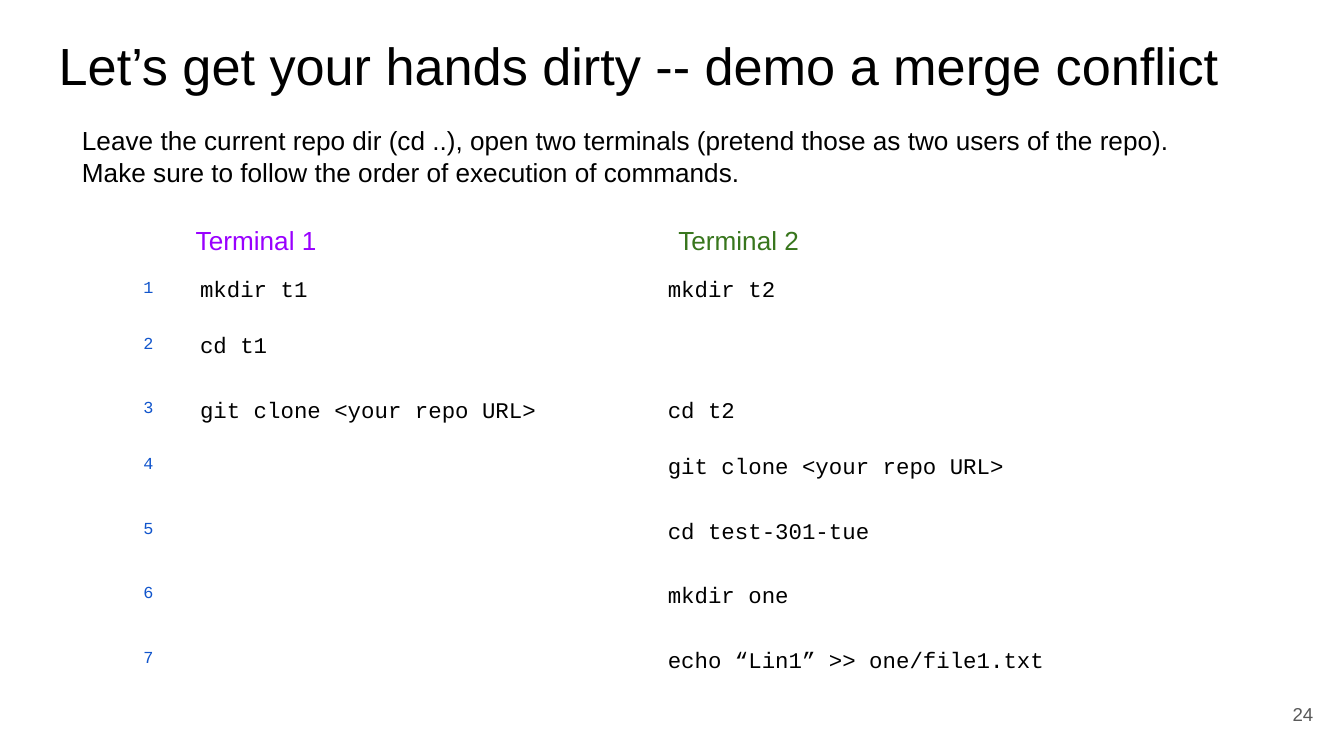
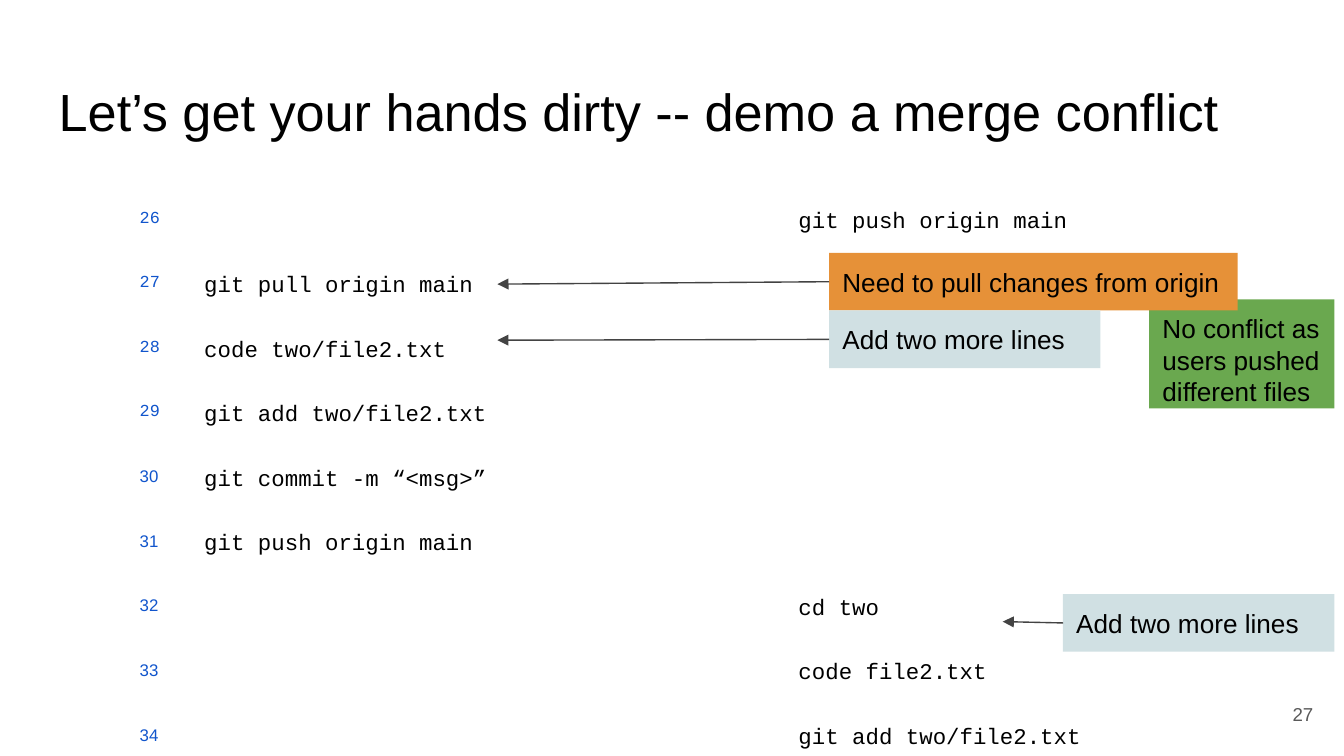
from lxml import etree
from pptx import Presentation
from pptx.dml.color import RGBColor
from pptx.enum.shapes import MSO_CONNECTOR, MSO_SHAPE
from pptx.enum.text import MSO_ANCHOR, MSO_AUTO_SIZE, PP_ALIGN
from pptx.oxml.ns import qn
from pptx.util import Cm, Pt

# Enum members
TOP, MIDDLE = MSO_ANCHOR.TOP, MSO_ANCHOR.MIDDLE
LEFT, RIGHT = PP_ALIGN.LEFT, PP_ALIGN.RIGHT
NO_FIT = MSO_AUTO_SIZE.NONE
RECT = MSO_SHAPE.RECTANGLE
STRAIGHT = MSO_CONNECTOR.STRAIGHT

# Style
BLACK = RGBColor(0x00, 0x00, 0x00)
WHITE = RGBColor(0xFF, 0xFF, 0xFF)
GRAY = RGBColor(0x59, 0x59, 0x59)
DARK_GRAY = RGBColor(0x43, 0x43, 0x43)
BLUE = RGBColor(0x11, 0x55, 0xCC)
PURPLE = RGBColor(0x99, 0x00, 0xFF)
DARK_GREEN = RGBColor(0x38, 0x76, 0x1D)
GREEN = RGBColor(0x6A, 0xA8, 0x4F)
ORANGE = RGBColor(0xE6, 0x91, 0x38)
PALE_BLUE = RGBColor(0xD0, 0xE0, 0xE3)
SANS, MONO = "Arial", "Courier New"
INSET = Cm(0.25)
TITLE = "Let’s get your hands dirty -- demo a merge conflict"
FULL_ROW, GAP_ROW = 1.06, 1.22  # rows with a blank cell are taller
LEFT_SIDE = 1


class Deck:
    def __init__(self):
        self.prs = Presentation()
        self.prs.slide_width, self.prs.slide_height = Cm(25.4), Cm(14.29)
        self.slide = None

    def format_text(self, tf, text, size, color, font=SANS, align=LEFT, anchor=TOP):
        tf.text = text
        tf.word_wrap = True
        tf.auto_size = NO_FIT
        tf.vertical_anchor = anchor
        tf.margin_left = tf.margin_right = tf.margin_top = tf.margin_bottom = INSET
        for p in tf.paragraphs:
            p.alignment = align
            self.format_runs(p, size, color, font)

    def format_runs(self, p, size, color, font):
        for r in p.runs:
            r.font.size, r.font.name = Pt(size), font
            r.font.color.rgb = color

    def new_slide(self, title_top, number):
        self.slide = self.prs.slides.add_slide(self.prs.slide_layouts[5])
        sp = self.slide.shapes.title
        sp.left, sp.top, sp.width, sp.height = Cm(0.86), Cm(title_top), Cm(23.67), Cm(1.6)
        self.format_text(sp.text_frame, TITLE, 28, BLACK)
        self.text(number, 23.55, 12.95, 1.52, 1.09, 10, GRAY, align=RIGHT, anchor=MIDDLE)

    def text(self, text, x, y, w, h, size=14, color=BLACK, **style):
        sp = self.slide.shapes.add_textbox(Cm(x), Cm(y), Cm(w), Cm(h))
        self.format_text(sp.text_frame, text, size, color, **style)

    def note(self, text, x, y, w, h, fill):
        sp = self.slide.shapes.add_shape(RECT, Cm(x), Cm(y), Cm(w), Cm(h))
        sp.shadow.inherit = False
        sp.fill.solid()
        sp.fill.fore_color.rgb = fill
        sp.line.fill.background()
        self.format_text(sp.text_frame, text, 14, BLACK)
        return sp

    def arrow(self, sp, x, y):
        """Arrow from the left side of a note to a command."""
        line = self.slide.shapes.add_connector(STRAIGHT, sp.left, sp.top, Cm(x), Cm(y))
        line.begin_connect(sp, LEFT_SIDE)
        line.line.color.rgb = DARK_GRAY
        line.line.width = Pt(0.75)
        etree.SubElement(line.line._get_or_add_ln(), qn("a:tailEnd"), type="triangle")
        etree.SubElement(line._element.spPr, qn("a:effectLst"))

    def commands(self, rows, x, y, widths, sans_from):
        """Table of step number and the command typed in each terminal."""
        heights = [FULL_ROW if all(row) else GAP_ROW for row in rows]
        frame = self.slide.shapes.add_table(
            len(rows), len(widths), Cm(x), Cm(y), Cm(sum(widths)), Cm(sum(heights)))
        table = frame.table
        table.first_row = table.horz_banding = False
        for column, w in zip(table.columns, widths):
            column.width = Cm(w)
        for i, row in enumerate(rows):
            table.rows[i].height = Cm(heights[i])
            for j, value in enumerate(row):
                cell = table.cell(i, j)
                if j:
                    self.cell(cell, value, 12, BLACK, MONO)
                else:
                    font = SANS if value >= sans_from else MONO
                    self.cell(cell, str(value), 9, BLUE, font)

    def cell(self, cell, text, size, color, font):
        cell.text = text
        cell.fill.background()
        cell.margin_left = cell.margin_right = INSET
        cell.margin_top = cell.margin_bottom = INSET
        p = cell.text_frame.paragraphs[0]
        self.format_runs(p, size, color, font)
        if not text:
            p._p.get_or_add_endParaRPr().set("sz", str(size * 100))
        # White borders go before the fill
        tc_pr = cell._tc.get_or_add_tcPr()
        for i, side in enumerate(("lnL", "lnR", "lnT", "lnB")):
            ln = etree.Element(qn("a:" + side), w=str(Pt(0.75)))
            fill = etree.SubElement(ln, qn("a:solidFill"))
            etree.SubElement(fill, qn("a:srgbClr"), val=str(WHITE))
            tc_pr.insert(i, ln)


def setup_slide(deck):
    deck.new_slide(0.38, "24")
    deck.text("Leave the current repo dir (cd ..), open two terminals "
              "(pretend those as two users of the repo).\n"
              "Make sure to follow the order of execution of commands.",
              1.3, 2.11, 21.82, 1.68)
    deck.commands([
        (1, "mkdir t1", "mkdir t2"),
        (2, "cd t1", ""),
        (3, "git clone <your repo URL>", "cd t2"),
        (4, "", "git clone <your repo URL>"),
        (5, "", "cd test-301-tue"),
        (6, "", "mkdir one"),
        (7, "", "echo “Lin1” >> one/file1.txt"),
    ], 2.46, 5.03, (1.07, 8.84, 10.21), sans_from=30)
    # Column headings
    deck.text("Terminal 1", 3.45, 3.99, 2.95, 0.84, color=PURPLE)
    deck.text("Terminal 2", 12.57, 3.99, 2.95, 0.84, color=DARK_GREEN)


def pull_slide(deck):
    deck.new_slide(1.24, "27")
    deck.commands([
        (26, "", "git push origin main"),
        (27, "git pull origin main", ""),
        (28, "code two/file2.txt", ""),
        (29, "git add two/file2.txt", ""),
        (30, "git commit -m “<msg>”", ""),
        (31, "git push origin main", ""),
        (32, "", "cd two"),
        (33, "", "code file2.txt"),
        (34, "", "git add two/file2.txt"),
    ], 2.39, 3.71, (1.22, 11.23, 8.56), sans_from=30)
    # Notes and their arrows
    deck.note("No conflict as users pushed different files", 21.72, 5.66, 3.5, 2.06, GREEN)
    for text, x, y, w, fill, tip_x, tip_y in (
        ("Need to pull changes from origin", 15.67, 4.78, 7.72, ORANGE, 9.4, 5.37),
        ("Add two more lines", 15.67, 5.87, 5.13, PALE_BLUE, 9.4, 6.43),
        ("Add two more lines", 20.09, 11.23, 5.13, PALE_BLUE, 18.95, 11.75),
    ):
        sp = deck.note(text, x, y, w, 1.09, fill)
        deck.arrow(sp, tip_x, tip_y)


def main():
    deck = Deck()
    setup_slide(deck)
    pull_slide(deck)
    deck.prs.save("out.pptx")


if __name__ == "__main__":
    main()
